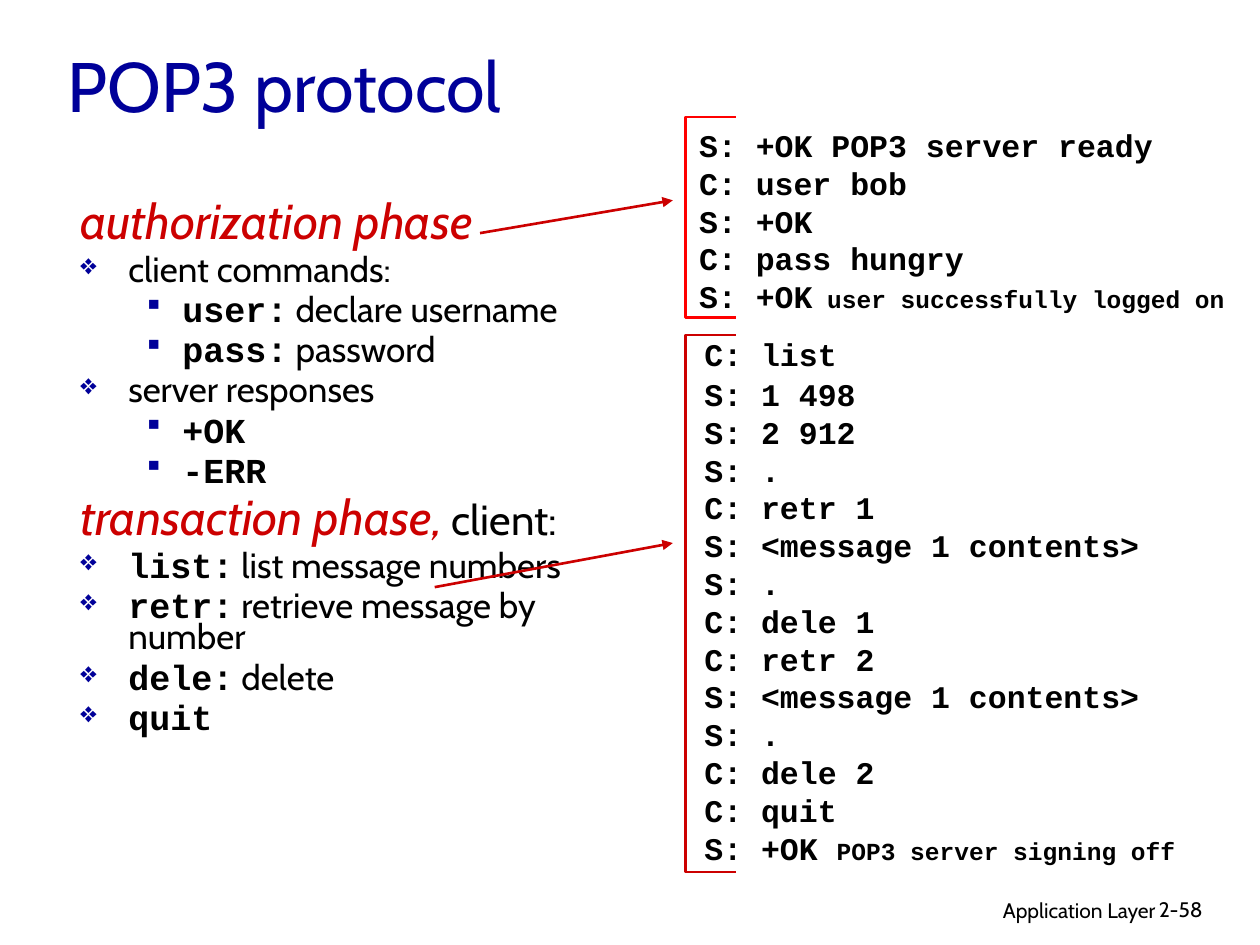
from lxml import etree
from pptx import Presentation
from pptx.dml.color import RGBColor
from pptx.enum.shapes import MSO_CONNECTOR
from pptx.enum.text import MSO_ANCHOR, PP_ALIGN
from pptx.oxml.ns import qn
from pptx.util import Inches, Pt

STRAIGHT = MSO_CONNECTOR.STRAIGHT
MIDDLE, TOP = MSO_ANCHOR.MIDDLE, MSO_ANCHOR.TOP
LEFT, RIGHT = PP_ALIGN.LEFT, PP_ALIGN.RIGHT

COLORS = {"navy": "000099", "crimson": "CC0000", "red": "FF0000", "black": "000000"}
SANS, MONO = "Cabin", "Courier New"
LEVELS = {1: (0.38, 0.38, "❖", 82), 2: (0.81, 0.31, "▪", 80)}

PHASES = [
    ("authorization phase", "", 7, [
        (1, "", "client commands:"),
        (2, "user:", " declare username"),
        (2, "pass:", " password"),
        (1, "", "server responses"),
        (2, "+OK", ""),
        (2, "-ERR", ""),
    ]),
    ("transaction phase,", " client:", 6, [
        (1, "list:", " list message numbers"),
        (1, "retr:", " retrieve message by number"),
        (1, "dele:", " delete"),
        (1, "quit", ""),
    ]),
]
LOGIN = [
    ("S: +OK POP3 server ready", ""),
    ("C: user bob", ""),
    ("S: +OK", ""),
    ("C: pass hungry", ""),
    ("S: +OK", " user successfully logged on"),
]
MAILBOX = [(line, "") for line in (
    "C: list", "S: 1 498", "S: 2 912", "S: .", "C: retr 1",
    "S: <message 1 contents>", "S: .", "C: dele 1", "C: retr 2",
    "S: <message 1 contents>", "S: .", "C: dele 2", "C: quit",
)] + [("S: +OK ", "POP3 server signing off")]


def rgb(name):
    return RGBColor.from_string(COLORS[name])


def style(font, size, name=SANS, color="black", bold=False, italic=False):
    font.size, font.name = Pt(size), name
    font.bold, font.italic = bold, italic
    font.color.rgb = rgb(color)


def add_run(paragraph, text, size, **look):
    run = paragraph.add_run()
    run.text = text
    style(run.font, size, **look)


def add_frame(slide, box, anchor=TOP, wrap=True):
    frame = slide.shapes.add_textbox(*map(Inches, box)).text_frame
    frame.word_wrap = wrap
    frame.vertical_anchor = anchor
    return frame


def paragraphs(frame):
    yield frame.paragraphs[0]
    while True:
        yield frame.add_paragraph()


def add_label(slide, box, text, size, color="black", align=LEFT, anchor=TOP):
    paragraph = add_frame(slide, box, anchor).paragraphs[0]
    paragraph.text = text
    paragraph.alignment = align
    style(paragraph.font, size, color=color)


def set_bullet(paragraph, level):
    margin, hang, char, percent = LEVELS[level]
    props = paragraph._p.get_or_add_pPr()
    props.set("marL", str(Inches(margin)))
    props.set("indent", str(-Inches(hang)))
    color = etree.SubElement(props, qn("a:buClr"))
    etree.SubElement(color, qn("a:srgbClr"), val=COLORS["navy"])
    etree.SubElement(props, qn("a:buSzPct"), val=str(percent * 1000))
    etree.SubElement(props, qn("a:buChar"), char=char)


def add_phases(slide, box):
    rows = paragraphs(add_frame(slide, box))
    for heading, role, gap, commands in PHASES:
        row = next(rows)
        row.line_spacing, row.space_before = 0.75, Pt(gap)
        add_run(row, heading, 28, color="crimson", italic=True)
        if role:
            add_run(row, role, 24)
        for level, keyword, meaning in commands:
            row = next(rows)
            row.line_spacing, row.space_before = 0.75, Pt(5)
            set_bullet(row, level)
            if keyword:
                add_run(row, keyword, 20, name=MONO, bold=True)
            if meaning:
                add_run(row, meaning, 20)


def add_transcript(slide, box, inset, lines, first_gap=0):
    frame = add_frame(slide, box)
    frame.margin_left, frame.margin_top = map(Inches, inset)
    frame.margin_right = 0
    for index, (row, (line, remark)) in enumerate(zip(paragraphs(frame), lines)):
        row.line_spacing = Pt(21.6)
        row.space_before = Pt(first_gap if index == 1 else 0)
        style(row.font, 18, name=MONO, bold=True)
        row.add_run().text = line
        if remark:
            note = row.add_run()
            note.text = remark
            note.font.size = Pt(14)


def add_bracket(slide, box, color):
    left, top, width, height = map(Inches, box)
    builder = slide.shapes.build_freeform(left + width, top)
    builder.add_line_segments(
        [(left, top), (left, top + height), (left + width, top + height)], close=False)
    bracket = builder.convert_to_shape()
    bracket.shadow.inherit = False
    bracket.fill.background()
    bracket.line.color.rgb = rgb(color)
    bracket.line.width = Pt(1.5)


def add_arrow(slide, start, end):
    arrow = slide.shapes.add_connector(STRAIGHT, *map(Inches, start + end))
    arrow.line.color.rgb = rgb("crimson")
    arrow.line.width = Pt(1.5)
    etree.SubElement(arrow.line._get_or_add_ln(), qn("a:tailEnd"), type="triangle")
    etree.SubElement(arrow._element.spPr, qn("a:effectLst"))


def main():
    deck = Presentation()
    deck.slide_width, deck.slide_height = Inches(10), Inches(7.5)
    slide = deck.slides.add_slide(deck.slide_layouts[6])
    add_label(slide, (6.1, 7.07, 3.17, 0.31), "Application Layer", 12, align=RIGHT)
    add_label(slide, (9.1, 7.07, 0.74, 0.3), "2-58", 12)
    add_label(slide, (0.44, 0.14, 8.5, 1.06), "POP3 protocol", 40, "navy", anchor=MIDDLE)
    add_phases(slide, (0.54, 1.57, 4.34, 5.08))
    add_transcript(slide, (4.74, 2.53, 4.69, 4.4), (0.85, 0.13), MAILBOX, first_gap=1.2)
    add_transcript(slide, (5.45, 0.65, 4.37, 1.9), (0.1, 0.35), LOGIN)
    add_bracket(slide, (5.44, 0.93, 0.4, 1.59), "red")
    add_arrow(slide, (3.81, 1.85), (5.34, 1.59))
    add_bracket(slide, (5.44, 2.66, 0.4, 4.26), "crimson")
    add_arrow(slide, (3.45, 4.66), (5.34, 4.31))
    deck.save("out.pptx")


if __name__ == "__main__":
    main()
